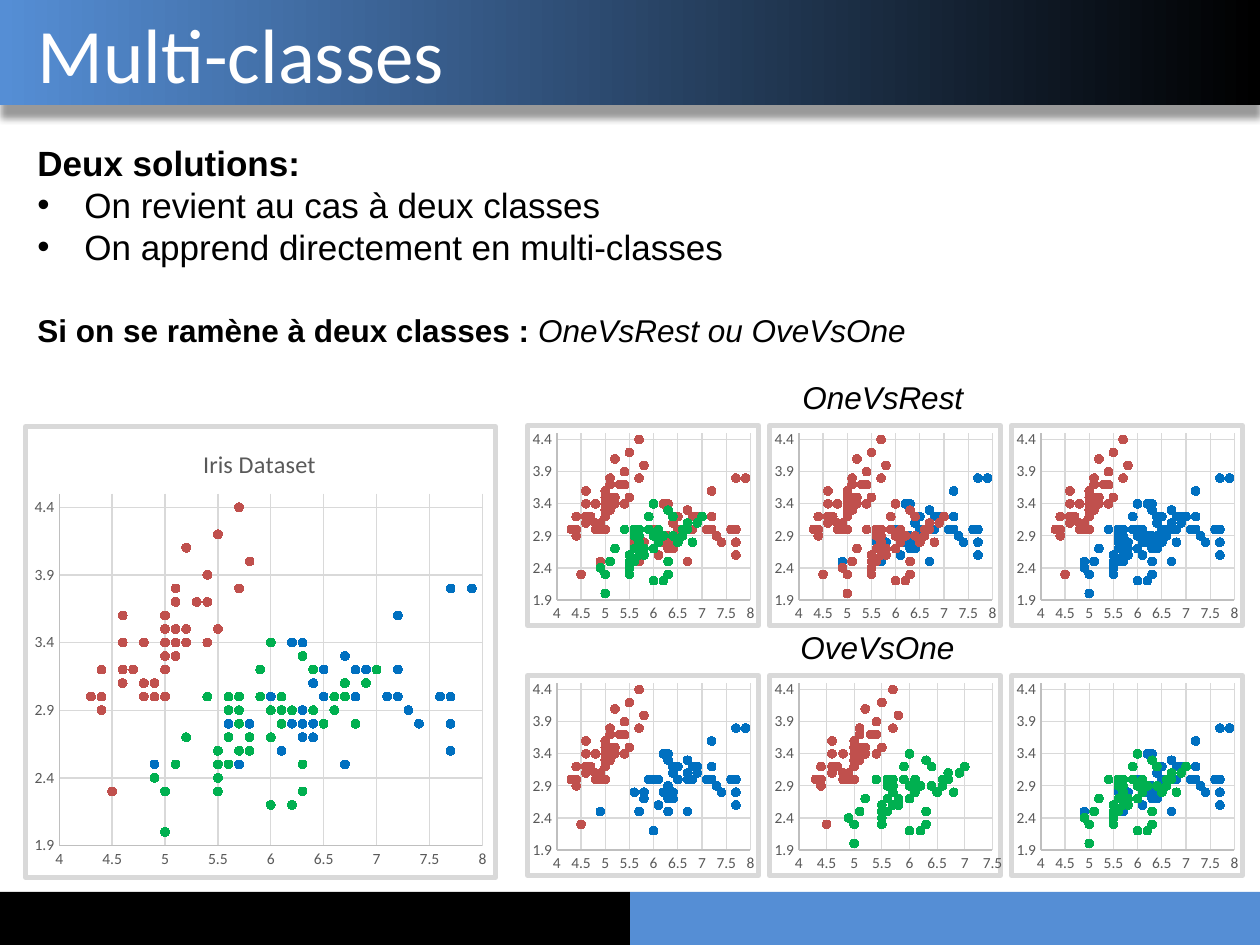
from dataclasses import dataclass

from lxml.etree import SubElement
from pptx import Presentation
from pptx.chart.data import XyChartData
from pptx.dml.color import RGBColor
from pptx.enum.chart import XL_CHART_TYPE as ChartType, XL_MARKER_STYLE as MarkerStyle, XL_TICK_MARK as TickMark
from pptx.enum.shapes import MSO_SHAPE as Preset
from pptx.enum.text import MSO_ANCHOR as Anchor, MSO_AUTO_SIZE as AutoSize, PP_ALIGN as Align
from pptx.oxml import parse_xml
from pptx.oxml.ns import nsdecls, qn
from pptx.slide import Slide
from pptx.util import Pt

EMU_PER_PX = 914400 / 126


def px(*lengths):
    return [round(length * EMU_PER_PX) for length in lengths]


@dataclass(frozen=True)
class Theme:
    black: str = "000000"
    white: str = "FFFFFF"
    sky: str = "558ED5"
    gray: str = "595959"
    axis: str = "BFBFBF"
    grid: str = "D9D9D9"
    red: str = "C0504D"
    green: str = "00B050"
    blue: str = "0070C0"
    head_font: str = "Calibri"
    body_font: str = "Arial"
    title_size: int = 44
    body_size: int = 20
    label_size: int = 18
    chart_title_size: int = 14
    chart_size: int = 10
    tick_size: int = 9


@dataclass(frozen=True)
class Species:
    color: str
    sepals_mm: str

    def points(self):
        return [[int(side) / 10 for side in sepal.split("x")] for sepal in self.sepals_mm.split()]


THEME = Theme()
SETOSA = Species(THEME.red, """
    51x35 49x30 47x32 46x31 50x36 54x39 46x34 50x34 44x29 49x31 54x37 48x34 48x30 43x30 58x40 57x44 54x39
    51x35 57x38 51x38 54x34 51x37 46x36 51x33 48x34 50x30 50x34 52x35 52x34 47x32 48x31 54x34 52x41 55x42
    49x31 50x32 55x35 49x31 44x30 51x34 50x35 45x23 44x32 50x35 51x38 48x30 51x38 46x32 53x37 50x33""")
VERSICOLOR = Species(THEME.green, """
    70x32 64x32 69x31 55x23 65x28 57x28 63x33 49x24 66x29 52x27 50x20 59x30 60x22 61x29 56x29 67x31 56x30
    58x27 62x22 56x25 59x32 61x28 63x25 61x28 64x29 66x30 68x28 67x30 60x29 57x26 55x24 55x24 58x27 60x27
    54x30 60x34 67x31 63x23 56x30 55x25 55x26 61x30 58x26 50x23 56x27 57x30 57x29 62x29 51x25 57x28""")
VIRGINICA = Species(THEME.blue, """
    63x33 58x27 71x30 63x29 65x30 76x30 49x25 73x29 67x25 72x36 65x32 64x27 68x30 57x25 58x28 64x32 65x30
    77x38 77x26 60x22 69x32 56x28 77x28 63x27 67x33 72x32 62x28 61x30 64x28 72x30 74x28 79x38 64x28 63x28
    61x26 77x30 63x34 64x31 60x30 69x31 67x31 69x31 58x27 68x32 67x33 67x30 63x25 65x30 62x34 59x30""")
IRIS = (SETOSA, VERSICOLOR, VIRGINICA)


def own_colors(*members):
    return [(species, species.color) for species in members]


def one_vs_rest(chosen, rest_color):
    return [(species, chosen.color if species is chosen else rest_color) for species in IRIS]


@dataclass
class SlideBuilder:
    theme: Theme
    page: Slide

    def style(self, font, size, color, name, bold=False, italic=False):
        font.size, font.name, font.bold, font.italic = Pt(size), name, bold, italic
        font.color.rgb = RGBColor.from_string(color)

    def stroke(self, line, color, width=0.75):
        line.color.rgb = RGBColor.from_string(color)
        line.width = Pt(width)

    def paint(self, fill, color):
        fill.solid()
        fill.fore_color.rgb = RGBColor.from_string(color)

    def bar(self, frame, color):
        bar = self.page.shapes.add_shape(Preset.RECTANGLE, *px(*frame))
        bar.shadow.inherit = False
        self.paint(bar.fill, color)
        bar.line.fill.background()
        return bar

    def banner(self, frame):
        banner = self.bar(frame, self.theme.black)
        banner.fill.gradient()
        banner.fill.gradient_angle = 180
        for stop, color in zip(banner.fill.gradient_stops, (self.theme.black, self.theme.sky)):
            stop.color.rgb = RGBColor.from_string(color)
        banner.element.spPr.find(qn("a:effectLst")).append(parse_xml(
            f'<a:outerShdw {nsdecls("a")} blurRad="{Pt(4)}" dist="{Pt(7)}" dir="5400000" rotWithShape="0">'
            f'<a:srgbClr val="{self.theme.black}"><a:alpha val="40000"/></a:srgbClr></a:outerShdw>'))

    def title(self, frame, text):
        title = self.page.shapes.title
        title.left, title.top, title.width, title.height = px(*frame)
        title.element.getparent().append(title.element)
        title.text_frame.text = text
        title.text_frame.auto_size = AutoSize.NONE
        title.text_frame.vertical_anchor = Anchor.MIDDLE
        para = title.text_frame.paragraphs[0]
        para.alignment = Align.LEFT
        para._p.get_or_add_pPr().set("marL", str(px(25)[0]))
        self.style(para.runs[0].font, self.theme.title_size, self.theme.white, self.theme.head_font)

    def bullet(self, para):
        properties = para._p.get_or_add_pPr()
        indent = px(47)[0]
        properties.set("marL", str(indent))
        properties.set("indent", str(-indent))
        SubElement(properties, qn("a:buFont"), typeface=self.theme.body_font)
        SubElement(properties, qn("a:buChar"), char="•")

    def text(self, frame, paragraphs, size, wrap=False):
        box = self.page.shapes.add_textbox(*px(*frame))
        box.text_frame.word_wrap = wrap
        box.text_frame.auto_size = AutoSize.SHAPE_TO_FIT_TEXT
        for index, (bulleted, spans) in enumerate(paragraphs):
            para = box.text_frame.add_paragraph() if index else box.text_frame.paragraphs[0]
            if bulleted:
                self.bullet(para)
            for words, bold, italic in spans:
                span = para.add_run()
                span.text = words
                self.style(span.font, size, self.theme.black, self.theme.body_font, bold, italic)

    def place(self, host, index, frame, inset, target=None):
        layout = host.find(qn("c:layout"))
        if layout is None:
            layout = parse_xml(f'<c:layout {nsdecls("c")}/>')
            host.insert(index, layout)
        manual = SubElement(layout, qn("c:manualLayout"))
        if target:
            SubElement(manual, qn("c:layoutTarget"), val=target)
        for tag in ("xMode", "yMode"):
            SubElement(manual, qn(f"c:{tag}"), val="edge")
        for tag, length, whole in zip("xywh", inset, frame[2:] * 2):
            SubElement(manual, qn(f"c:{tag}"), val=f"{length / whole:.4f}")

    def axis(self, axis, low, high):
        axis.minimum_scale, axis.maximum_scale, axis.major_unit = low, high, 0.5
        axis.major_tick_mark = axis.minor_tick_mark = TickMark.NONE
        axis.has_major_gridlines = True
        self.stroke(axis.major_gridlines.format.line, self.theme.grid)
        self.stroke(axis.format.line, self.theme.axis)
        self.style(axis.tick_labels.font, self.theme.tick_size, self.theme.gray, self.theme.head_font)

    def chart_title(self, chart, frame, inset, text):
        heading = chart.chart_title
        heading.text_frame.text = text
        span = heading.text_frame.paragraphs[0].runs[0]
        self.style(span.font, self.theme.chart_title_size, self.theme.gray, self.theme.head_font)
        self.place(heading.element, 1, frame, inset)

    def scatter(self, frame, inset, groups):
        data = XyChartData()
        for number, (species, _) in enumerate(groups, 1):
            series = data.add_series(f"Series {number}")
            for length, width in species.points():
                series.add_data_point(length, width)
        chart = self.page.shapes.add_chart(ChartType.XY_SCATTER, *px(*frame), data).chart
        self.style(chart.font, self.theme.chart_size, self.theme.black, self.theme.head_font)
        chart.has_legend = chart.has_title = False
        body = chart.element.find(qn("c:chart"))
        self.place(body.find(qn("c:plotArea")), 0, frame, inset, "inner")
        body.addnext(parse_xml(
            f'<c:spPr {nsdecls("c", "a")}><a:solidFill><a:srgbClr val="{self.theme.white}"/></a:solidFill>'
            f'<a:ln w="{Pt(3)}"><a:solidFill><a:srgbClr val="{self.theme.grid}"/></a:solidFill></a:ln></c:spPr>'))
        has_long_sepals = any(species is VIRGINICA for species, _ in groups)
        self.axis(chart.category_axis, 4, 8 if has_long_sepals else None)
        self.axis(chart.value_axis, 1.9, 4.5)
        chart.plots[0].vary_by_categories = False
        for series, (_, color) in zip(chart.plots[0].series, groups):
            series.format.line.fill.background()
            series.marker.style, series.marker.size = MarkerStyle.CIRCLE, 5
            self.paint(series.marker.format.fill, color)
            self.stroke(series.marker.format.line, color)
        return chart


def main():
    deck = Presentation()
    deck.slide_width, deck.slide_height = px(1260, 945)
    builder = SlideBuilder(THEME, deck.slides.add_slide(deck.slide_layouts[5]))

    builder.banner((0, 0, 1260, 105))
    for left, color in ((630, THEME.sky), (0, THEME.black)):
        builder.bar((left, 892, 630, 53), color)
    builder.title((0, 0, 1229, 105), "Multi-classes")
    solutions = ("On revient au cas à deux classes", "On apprend directement en multi-classes")
    builder.text((25, 135, 766, 140), [(False, [("Deux solutions:", True, False)])]
                 + [(True, [(solution, False, False)]) for solution in solutions], THEME.body_size, wrap=True)

    overview = (23, 424, 475, 456)
    chart = builder.scatter(overview, (34, 68, 428, 356), own_colors(*IRIS))
    builder.chart_title(chart, overview, (175, 16), "Iris Dataset")

    rest_panels = [one_vs_rest(VERSICOLOR, THEME.red), one_vs_rest(VIRGINICA, THEME.red), one_vs_rest(SETOSA, THEME.blue)]
    pair_panels = [own_colors(SETOSA, VIRGINICA), own_colors(SETOSA, VERSICOLOR), own_colors(VERSICOLOR, VIRGINICA)]
    rows = (("OneVsRest", 790, 188, rest_panels), ("OveVsOne", 788, 182, pair_panels))
    for row, (label, left, width, panels) in enumerate(rows):
        top = 423 + 250 * row
        builder.text((left, top - 51, width, 50), [(False, [(label, False, True)])], THEME.label_size)
        for column, groups in enumerate(panels):
            builder.scatter((525 + 242 * column, top, 236, 205), (30, 8, 198, 171), groups)

    builder.text((25, 305, 911, 50), [
        (False, [("Si on se ramène à deux classes : ", True, False), ("OneVsRest ou OveVsOne", False, True)]),
    ], THEME.label_size)
    deck.save("out.pptx")


if __name__ == "__main__":
    main()
